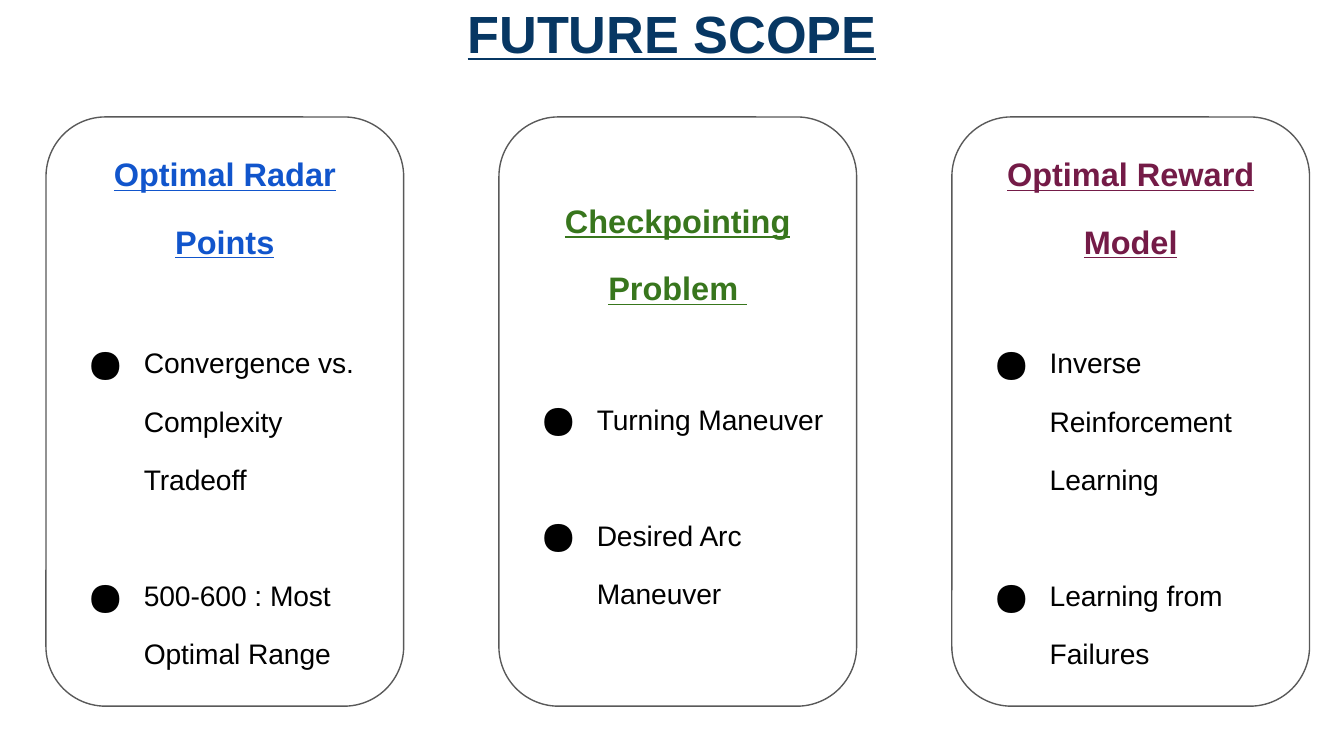
"""Build the Future Scope slide with three topic cards."""
from dataclasses import dataclass

from lxml import etree
from pptx import Presentation
from pptx.dml.color import RGBColor
from pptx.enum import shapes, text
from pptx.oxml import ns
from pptx.util import Cm, Pt


@dataclass(frozen=True)
class Theme:
    font: str = "Arial"
    title: str = "073763"
    outline: str = "595959"
    body: str = "000000"
    radar: str = "1155CC"
    checkpoint: str = "38761D"
    reward: str = "741B47"
    title_size: int = 28
    heading_size: int = 30
    item_size: int = 26


theme = Theme()


def add_text(paragraph, content, *, size, color, strong=False, raised=False,
             bullet=False, before=0, align=text.PP_ALIGN.CENTER, spacing=None):
    """Fill one paragraph and apply its format."""
    if bullet:
        properties = paragraph._p.get_or_add_pPr()
        properties.set("marL", str(Cm(1.27)))
        properties.set("indent", str(-Cm(1.09)))
        bullet_color = etree.SubElement(properties, ns.qn("a:buClr"))
        etree.SubElement(bullet_color, ns.qn("a:srgbClr"), val=color)
        etree.SubElement(properties, ns.qn("a:buChar"), char="●")
    paragraph.alignment = align
    paragraph.space_before = Pt(before)
    if spacing:
        paragraph.line_spacing = spacing
    run = paragraph.add_run()
    run.text = content
    run.font.name = theme.font
    run.font.size = Pt(size)
    run.font.bold = run.font.underline = strong
    run.font.color.rgb = RGBColor.from_string(color)
    if raised:
        run._r.get_or_add_rPr().set("baseline", "30000")


presentation = Presentation()
presentation.slide_width, presentation.slide_height = Cm(25.4), Cm(14.28)
slide = presentation.slides.add_slide(presentation.slide_layouts[5])

title = slide.shapes.title
title.left, title.top, title.width, title.height = Cm(0.87), Cm(0), Cm(23.66), Cm(1.48)
title_frame = title.text_frame
title_frame.vertical_anchor = text.MSO_ANCHOR.TOP
title_frame.auto_size = text.MSO_AUTO_SIZE.NONE
title_frame.margin_top = title_frame.margin_bottom = Cm(0.25)
add_text(title_frame.paragraphs[0], "FUTURE SCOPE", size=theme.title_size,
         color=theme.title, strong=True, spacing=0.8)

topics = [
    (["Optimal Radar Points"], theme.radar, text.MSO_ANCHOR.TOP, 31,
     ["Convergence vs. Complexity Tradeoff", "500-600 : Most Optimal Range"]),
    (["Checkpointing", "Problem "], theme.checkpoint, text.MSO_ANCHOR.MIDDLE, 36,
     ["Turning Maneuver", "Desired Arc Maneuver"]),
    (["Optimal Reward Model"], theme.reward, text.MSO_ANCHOR.TOP, 31,
     ["Inverse Reinforcement Learning", "Learning from Failures"]),
]
item_gap = 31
card_pitch = 8.56

for column, (headings, accent, anchor, heading_gap, items) in enumerate(topics):
    card = slide.shapes.add_shape(
        shapes.MSO_SHAPE.ROUNDED_RECTANGLE,
        Cm(0.87 + column * card_pitch), Cm(2.21), Cm(6.76), Cm(11.13))
    card.shadow.inherit = False
    card.fill.background()
    card.line.color.rgb = RGBColor.from_string(theme.outline)
    card.line.width = Pt(0.75)

    frame = card.text_frame
    frame.word_wrap = True
    frame.vertical_anchor = anchor
    frame.margin_left = frame.margin_right = Cm(0.25)
    frame.margin_top = frame.margin_bottom = Cm(0.25)

    for index, heading in enumerate(headings):
        paragraph = frame.add_paragraph() if index else frame.paragraphs[0]
        add_text(paragraph, heading, size=theme.heading_size, color=accent,
                 strong=True, raised=True)
    for index, item in enumerate(items):
        add_text(frame.add_paragraph(), item, size=theme.item_size,
                 color=theme.body, raised=True, bullet=True,
                 before=item_gap if index else heading_gap,
                 align=text.PP_ALIGN.LEFT)

presentation.save("out.pptx")
